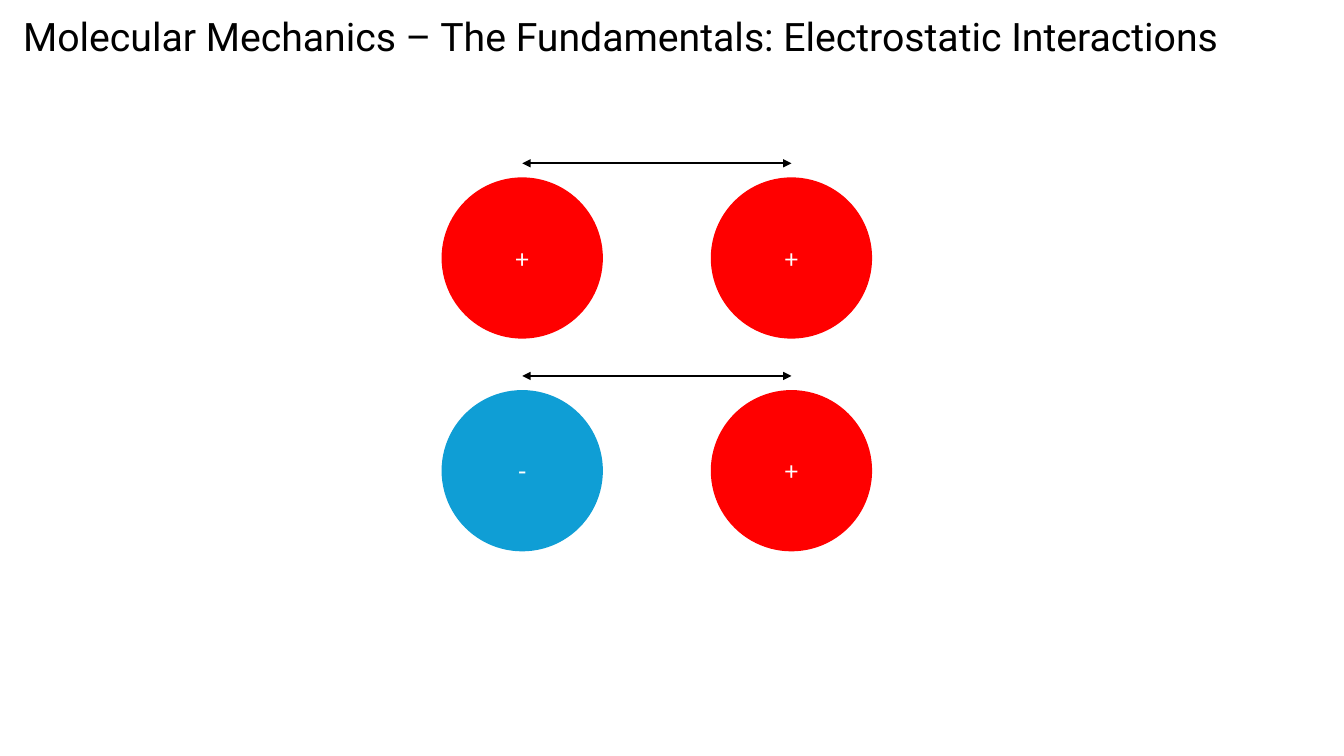
from dataclasses import dataclass

from lxml import etree
from pptx import Presentation
from pptx.dml.color import RGBColor
from pptx.enum import shapes, text
from pptx.oxml import ns
from pptx.util import Pt

PX = 9144  # EMU per px, 100 px to the inch


@dataclass(frozen=True)
class Theme:
    ink: str = "000000"
    light: str = "FFFFFF"
    positive: str = "FF0000"
    negative: str = "0F9ED5"
    title_font: str = "Roboto"
    charge_font: str = "Lato"
    title_size: int = 28
    charge_size: int = 18
    arrow_width: float = 1.5


THEME = Theme()
TITLE = "Molecular Mechanics – The Fundamentals: Electrostatic Interactions"
CHARGE_PAIRS = ["++", "-+"]


def px(*lengths):
    return [length * PX for length in lengths]


def write(frame, words, font, size, color, align, **frame_format):
    for name, value in frame_format.items():
        setattr(frame, name, value)
    para = frame.paragraphs[0]
    para.alignment = align
    span = para.add_run()
    span.text = words
    for name, value in {"name": font, "size": Pt(size)}.items():
        setattr(span.font, name, value)
    span.font.color.rgb = RGBColor.from_string(color)


def add_title(page, left, top, width, height):
    title = page.shapes.title
    sides = ("left", "top", "width", "height")
    for name, value in zip(sides, px(left, top, width, height)):
        setattr(title, name, value)
    write(title.text_frame, TITLE, THEME.title_font, THEME.title_size,
          THEME.ink, text.PP_ALIGN.LEFT, word_wrap=False,
          auto_size=text.MSO_AUTO_SIZE.SHAPE_TO_FIT_TEXT,
          vertical_anchor=text.MSO_ANCHOR.TOP)


def add_charge(page, sign, left, top, diameter):
    ball = page.shapes.add_shape(
        shapes.MSO_SHAPE.OVAL, *px(left, top, diameter, diameter))
    color = THEME.positive if sign == "+" else THEME.negative
    ball.shadow.inherit = False
    ball.fill.solid()
    ball.fill.fore_color.rgb = RGBColor.from_string(color)
    ball.line.fill.background()
    write(ball.text_frame, sign, THEME.charge_font, THEME.charge_size,
          THEME.light, text.PP_ALIGN.CENTER,
          vertical_anchor=text.MSO_ANCHOR.MIDDLE)


def add_distance_arrow(page, start, end, y):
    arrow = page.shapes.add_connector(
        shapes.MSO_CONNECTOR.STRAIGHT, *px(start, y, end, y))
    arrow.line.width = Pt(THEME.arrow_width)
    arrow.line.color.rgb = RGBColor.from_string(THEME.ink)
    line = arrow.line._get_or_add_ln()
    for end_tag in ("a:headEnd", "a:tailEnd"):
        etree.SubElement(line, ns.qn(end_tag), type="triangle")
    etree.SubElement(arrow._element.spPr, ns.qn("a:effectLst"))


def add_charge_pair(page, signs, left, top, width, height):
    """Two charges at the ends of the box, with an arrow between their centres."""
    arrow_gap = 14
    diameter = height - arrow_gap
    step = width - diameter
    for column, sign in enumerate(signs):
        add_charge(page, sign, left + column * step, top + arrow_gap, diameter)
    centre = left + diameter // 2
    add_distance_arrow(page, centre, centre + step, top)


def add_interactions(page, left, top, width, height):
    pair_height = 174
    step = (height - pair_height) // (len(CHARGE_PAIRS) - 1)
    for row, signs in enumerate(CHARGE_PAIRS):
        add_charge_pair(page, signs, left, top + row * step, width, pair_height)


def main():
    deck = Presentation()
    deck.slide_width, deck.slide_height = px(1333, 750)
    page = deck.slides.add_slide(deck.slide_layouts.get_by_name("Title Only"))
    add_title(page, 13, 7, 1208, 57)
    add_interactions(page, 438, 162, 427, 385)
    deck.save("out.pptx")


if __name__ == "__main__":
    main()
